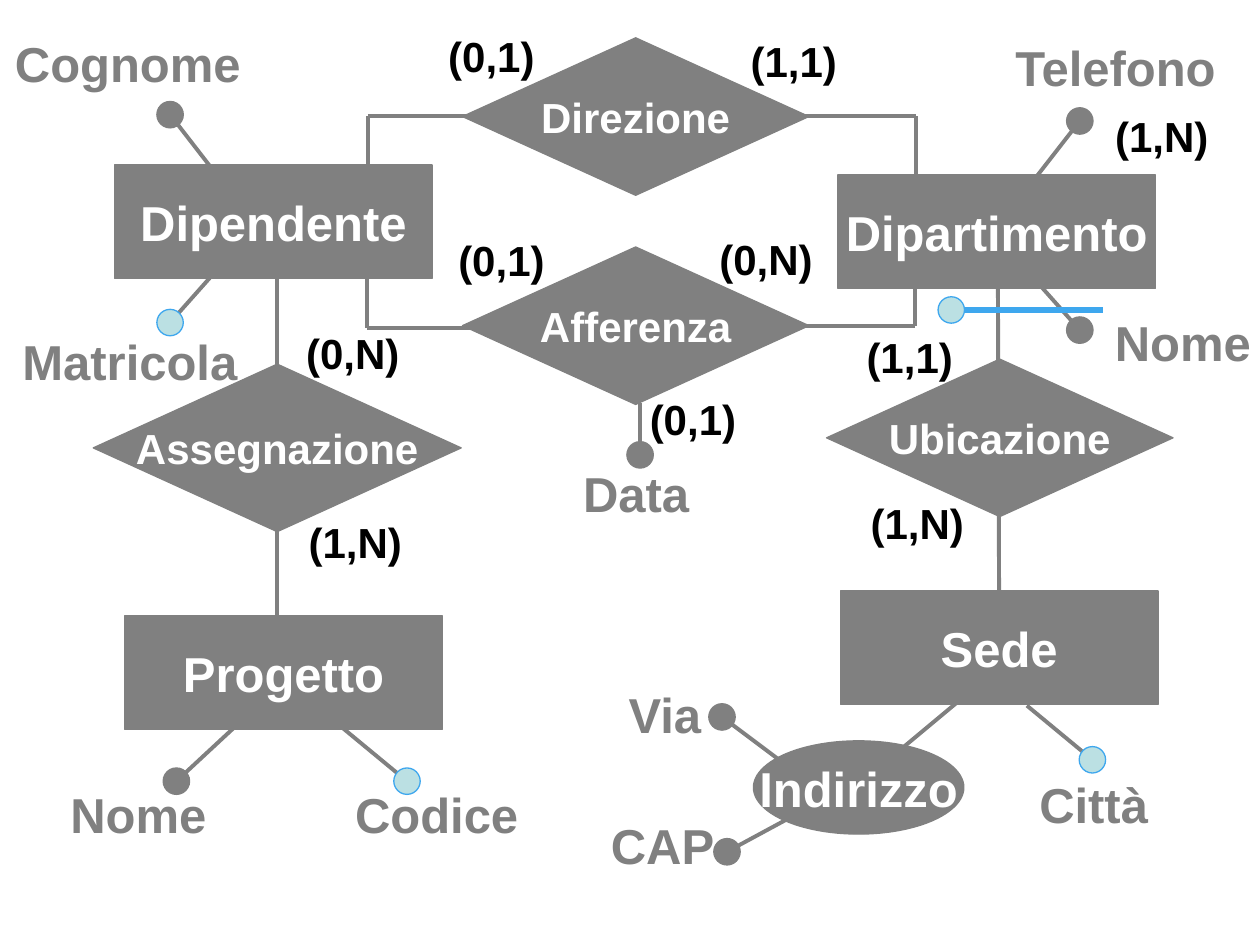
import itertools
import pptx
import pptx.util
import pptx.dml.color
import pptx.enum.shapes
import pptx.enum.text
import pptx.oxml.ns
import lxml.etree

Inches = pptx.util.Inches
SHAPE = pptx.enum.shapes.MSO_SHAPE
ALIGN = pptx.enum.text.PP_ALIGN
ANCHOR = pptx.enum.text.MSO_ANCHOR
GREY, WHITE, BLACK = "808080", "FFFFFF", "000000"
PALE, BLUE = "BBE0E3", "3EA7EE"
DOT = 0.21


def color(code):
    return pptx.dml.color.RGBColor.from_string(code)


def assign(target, values):
    for name, value in values.items():
        setattr(target, name, value)


def write(shape, text, size, tint, align, anchor):
    frame = shape.text_frame
    assign(frame, {
        "word_wrap": False, "vertical_anchor": anchor,
        "margin_left": Inches(0.1), "margin_right": Inches(0.1),
        "margin_top": Inches(0.05), "margin_bottom": Inches(0.05),
    })
    para = frame.paragraphs[0]
    para.alignment = align
    run = para.add_run()
    run.text = text
    assign(run.font, {"name": "Arial", "size": pptx.util.Pt(size), "bold": True})
    run.font.color.rgb = color(tint)


def label(slide, box, text, size, tint, align, anchor):
    shape = slide.shapes.add_textbox(*map(Inches, box))
    write(shape, text, size, tint, align, anchor)
    shape.text_frame.auto_size = pptx.enum.text.MSO_AUTO_SIZE.SHAPE_TO_FIT_TEXT


def solid(slide, kind, box, fill, edge):
    shape = slide.shapes.add_shape(kind, *map(Inches, box))
    shape.shadow.inherit = False
    shape.fill.solid()
    shape.fill.fore_color.rgb = color(fill)
    shape.line.color.rgb = color(edge)
    shape.line.width = pptx.util.Pt(0.75)
    return shape


def wire(slide, box, points, tint=GREY, width=2.25):
    left, top = box[:2]
    for (ax, ay), (bx, by) in itertools.pairwise(points):
        ends = (left + ax, top + ay, left + bx, top + by)
        line = slide.shapes.add_connector(
            pptx.enum.shapes.MSO_CONNECTOR.STRAIGHT, *map(Inches, ends))
        line.line.color.rgb = color(tint)
        line.line.width = pptx.util.Pt(width)
        lxml.etree.SubElement(line._element.spPr, pptx.oxml.ns.qn("a:effectLst"))


def dot(slide, box, spot, key=False):
    left, top = box[0] + spot[0] - DOT / 2, box[1] + spot[1] - DOT / 2
    fill, edge = (PALE, BLUE) if key else (GREY, GREY)
    solid(slide, SHAPE.OVAL, (left, top, DOT, DOT), fill, edge)


def field(slide, box, name, place, width, root, spot, key=False):
    wire(slide, box, [root, spot])
    dot(slide, box, spot, key)
    area = (box[0] + place[0], box[1] + place[1], width, 0.57)
    label(slide, area, name, 28, GREY, ALIGN.LEFT, ANCHOR.TOP)


def count(slide, box, text, place):
    width = 0.94 if "N" in text else 0.9
    area = (box[0] + place[0], box[1] + place[1], width, 0.5)
    label(slide, area, text, 24, BLACK, ALIGN.CENTER, ANCHOR.MIDDLE)


def node(slide, box, kind, name, size, wires, fields, counts):
    for points in wires:
        wire(slide, box, points)
    for item in fields:
        field(slide, box, *item)
    shape = solid(slide, kind, box, GREY, GREY)
    write(shape, name, size, WHITE, ALIGN.CENTER, ANCHOR.MIDDLE)
    for text, place in counts:
        count(slide, box, text, place)


def bond(slide, box, name, wires, counts, fields=()):
    node(slide, box, SHAPE.DIAMOND, name, 24, wires, fields, counts)


def entry(slide, box, name, fields, counts=()):
    node(slide, box, SHAPE.RECTANGLE, name, 28, (), fields, counts)


def group(slide, box, name, stem, fields):
    node(slide, box, SHAPE.OVAL, name, 28, [stem], fields, ())


def joint(slide, box, start, end):
    wire(slide, box, [start, end], BLUE, 3)
    dot(slide, box, start, True)


def main():
    deck = pptx.Presentation()
    assign(deck, {"slide_width": Inches(10), "slide_height": Inches(7.5)})
    slide = deck.slides.add_slide(deck.slide_layouts[6])

    bond(slide, (3.67, 0.3, 2.75, 1.25), "Direzione",
         [[(-0.75, 1.12), (-0.75, 0.62), (0.24, 0.62)],
          [(3.6, 1.13), (3.6, 0.62), (2.6, 0.62)]],
         [("(0,1)", (-0.22, -0.11)), ("(1,1)", (2.18, -0.07))])
    bond(slide, (3.67, 1.96, 2.75, 1.25), "Afferenza",
         [[(-0.76, 0.14), (-0.76, 0.64), (0.23, 0.64)],
          [(3.59, 0.13), (3.59, 0.63), (2.6, 0.63)]],
         [("(0,1)", (-0.14, -0.15)), ("(0,N)", (1.94, -0.16)),
          ("(0,1)", (1.38, 1.11))],
         [("Data", (0.86, 1.67), 1.04, (1.41, 1.24), (1.41, 1.65))])
    bond(slide, (6.56, 2.85, 2.75, 1.25), "Ubicazione",
         [[(1.36, -0.65), (1.37, 2)]],
         [("(1,1)", (0.21, -0.27)), ("(1,N)", (0.25, 1.05))])
    bond(slide, (0.74, 2.89, 2.92, 1.33), "Assegnazione",
         [[(1.46, -0.75), (1.46, 2.25)]],
         [("(0,N)", (1.59, -0.34)), ("(1,N)", (1.61, 1.16))])

    entry(slide, (0.91, 1.31, 2.52, 0.9), "Dipendente",
          [("Cognome", (-0.89, -1.09), 1.99, (0.92, 0.22), (0.44, -0.4)),
           ("Matricola", (-0.83, 1.27), 1.92, (0.84, 0.8), (0.44, 1.25), True)])
    dept = (6.65, 1.39, 2.52, 0.9)
    entry(slide, dept, "Dipartimento",
          [("Telefono", (1.31, -1.14), 1.82, (1.43, 0.2), (1.92, -0.43)),
           ("Nome", (2.1, 1.04), 1.28, (1.52, 0.78), (1.92, 1.23))],
          [("(1,N)", (2.1, -0.56))])
    joint(slide, dept, (0.9, 1.07), (2.1, 1.07))
    entry(slide, (0.99, 4.89, 2.52, 0.9), "Progetto",
          [("Nome", (-0.53, 1.29), 1.28, (0.97, 0.79), (0.41, 1.31)),
           ("Codice", (1.73, 1.29), 1.51, (1.72, 0.88), (2.24, 1.31), True)])
    entry(slide, (6.67, 4.69, 2.52, 0.9), "Sede",
          [("Città", (1.48, 1.41), 1.06, (1.48, 0.91), (2, 1.34), True)])
    group(slide, (5.98, 5.88, 1.67, 0.74), "Indirizzo",
          [(1.61, -0.3), (1.13, 0.1)],
          [("Via", (-1.09, -0.5), 0.78, (0.27, 0.2), (-0.25, -0.19)),
           ("CAP", (-1.23, 0.54), 1.02, (0.27, 0.62), (-0.21, 0.88))])
    deck.save("out.pptx")


if __name__ == "__main__":
    main()
